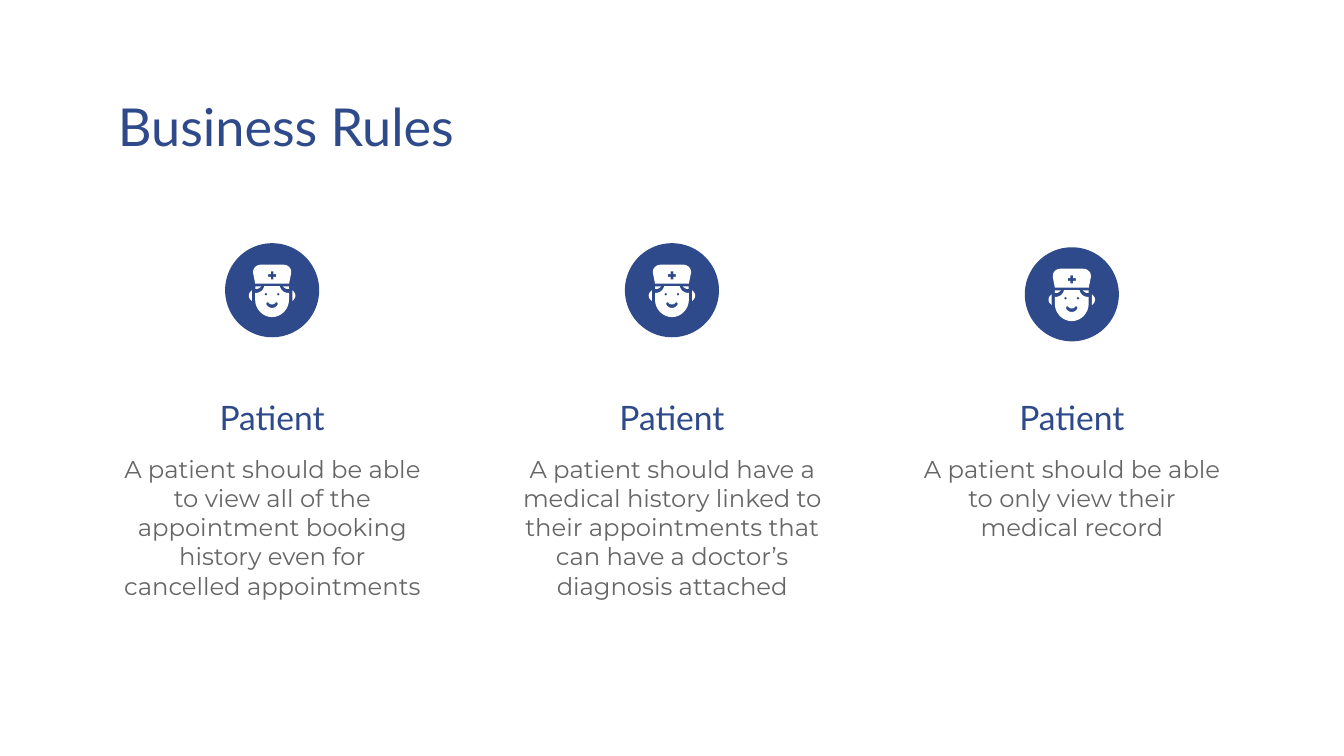
from dataclasses import dataclass
from math import cos, pi, sin

from pptx import Presentation
from pptx.dml.color import RGBColor
from pptx.enum import shapes, text
from pptx.util import Inches, Pt


@dataclass(frozen=True)
class Theme:
    navy: RGBColor = RGBColor(0x2F, 0x4A, 0x8A)
    grey: RGBColor = RGBColor(0x66, 0x66, 0x66)
    white: RGBColor = RGBColor(0xFF, 0xFF, 0xFF)
    heading_font: str = "Lato"
    body_font: str = "Montserrat"
    title_size: int = 28
    heading_size: int = 18
    body_size: int = 13


@dataclass(frozen=True)
class Rule:
    role: str
    statement: str
    icon_top: float = 1.81


THEME = Theme()
MARGIN, CONTENT_W = 0.78, 8.44
COLUMN_W, ICON_SIZE = 2.49, 0.7
CURVE_STEPS = 8

RULES = [
    Rule("Patient", "A patient should be able to view all of the appointment "
                    "booking history even for cancelled appointments"),
    Rule("Patient", "A patient should have a medical history linked to their "
                    "appointments that can have a doctor’s diagnosis attached"),
    Rule("Patient", "A patient should be able to only view their medical record", 1.84),
]

Point = tuple[float, float]
Contour = list[Point]


def trace(*steps: tuple[float, ...]) -> Contour:
    """Flatten points (x, y) and cubic curves (x1, y1, x2, y2, x, y)."""
    points: Contour = []
    for step in steps:
        if len(step) == 2:
            points.append(step)
            continue
        controls = [points[-1], step[:2], step[2:4], step[4:]]
        for i in range(1, CURVE_STEPS + 1):
            t = i / CURVE_STEPS
            weights = ((1 - t) ** 3, 3 * t * (1 - t) ** 2, 3 * t * t * (1 - t), t ** 3)
            points.append(tuple(sum(w * c[axis] for w, c in zip(weights, controls))
                                for axis in (0, 1)))
    return points


def mirror(contour: Contour) -> Contour:
    return [(-x, y) for x, y in contour]


def dot(x: float, y: float, radius: float) -> Contour:
    return [(x + radius * cos(i * pi / 8), y + radius * sin(i * pi / 8))
            for i in range(16)]


# Nurse icon: hundredths of an inch from the centre of the disc.
LOCK = trace((8, -3), (9, -2, 10, -1, 11.5, -1), (12.5, -1), (12.5, -3))
EAR = trace((15, 0), (15, 8), (16, 7, 17.3, 6, 17.3, 4), (17.3, 2, 16, 1, 15, 0))
CAP = trace((-8.6, -19), (-12, -19, -14.5, -16, -14.2, -13), (-12.6, -5),
            (12.6, -5), (14.2, -13), (14.5, -16, 12, -19, 8.6, -19))
CROSS = [(-1, -14), (1, -14), (1, -12), (3, -12), (3, -10), (1, -10),
         (1, -8), (-1, -8), (-1, -10), (-3, -10), (-3, -12), (-1, -12)]
HEAD = trace((-5.8, -3), (-6.5, 0, -9, 2, -12, 2), (-12.6, 2), (-12.6, 7),
             (-12.6, 14, -7, 20, 0, 20), (7, 20, 12.6, 14, 12.6, 7),
             (12.6, 2), (12, 2), (9, 2, 6.5, 0, 5.8, -3))
MOUTH = trace((3.3, 9), (4, 9, 4.6, 10, 4, 11), (3, 12.5, 1.5, 13.2, 0, 13.2),
              (-1.5, 13.2, -3, 12.5, -4, 11), (-4.6, 10, -4, 9, -3.3, 9),
              (-2.8, 9, -2.6, 9.2, -2.4, 9.5), (-1.8, 10.2, -1, 10.6, 0, 10.6),
              (1, 10.6, 1.8, 10.2, 2.4, 9.5), (2.6, 9.2, 2.8, 9, 3.3, 9))
NURSE = [[LOCK], [CAP, CROSS], [mirror(LOCK)],
         [HEAD, dot(-4.6, 3, 0.9), dot(4.6, 3, 0.9), MOUTH], [mirror(EAR)], [EAR]]


def paint(sp, color: RGBColor) -> None:
    sp.fill.solid()
    sp.fill.fore_color.rgb = color
    sp.line.fill.background()
    sp.shadow.inherit = False


def add_text(slide, content: str, left: float, top: float, width: float, height: float,
             font: str, size: int, color: RGBColor,
             align=text.PP_ALIGN.CENTER, space_after: int = 0) -> None:
    tf = slide.shapes.add_textbox(Inches(left), Inches(top),
                                  Inches(width), Inches(height)).text_frame
    tf.word_wrap = True
    tf.margin_left = tf.margin_right = tf.margin_top = tf.margin_bottom = Inches(0.1)
    p = tf.paragraphs[0]
    p.text = content
    p.alignment = align
    p.space_after = Pt(space_after)
    p.font.name, p.font.size, p.font.color.rgb = font, Pt(size), color


def add_nurse_icon(slide, center_x: float, top: float) -> None:
    center_y = top + ICON_SIZE / 2
    disc = slide.shapes.add_shape(
        shapes.MSO_SHAPE.OVAL, Inches(center_x - ICON_SIZE / 2), Inches(top),
        Inches(ICON_SIZE), Inches(ICON_SIZE))
    paint(disc, THEME.navy)
    group = slide.shapes.add_group_shape()
    for outline in NURSE:
        placed = [[(Inches(center_x + x / 100), Inches(center_y + y / 100))
                   for x, y in contour] for contour in outline]
        builder = group.shapes.build_freeform(*placed[0][0])
        builder.add_line_segments(placed[0][1:])
        for hole in placed[1:]:
            builder.move_to(*hole[0])
            builder.add_line_segments(hole[1:])
        paint(builder.convert_to_shape(), THEME.white)


def add_rule(slide, rule: Rule, left: float) -> None:
    add_text(slide, rule.role, left, 2.85, COLUMN_W, 0.51,
             THEME.heading_font, THEME.heading_size, THEME.navy)
    add_text(slide, rule.statement, left, 3.28, COLUMN_W, 0.84,
             THEME.body_font, THEME.body_size, THEME.grey, space_after=12)
    add_nurse_icon(slide, left + COLUMN_W / 2, rule.icon_top)


def main() -> None:
    prs = Presentation()
    prs.slide_width = Inches(10)
    prs.slide_height = prs.slide_width * 9 // 16
    slide = prs.slides.add_slide(prs.slide_layouts[6])
    add_text(slide, "Business Rules", MARGIN, 0.6, CONTENT_W, 0.51,
             THEME.heading_font, THEME.title_size, THEME.navy,
             align=text.PP_ALIGN.LEFT)
    pitch = (CONTENT_W - COLUMN_W) / (len(RULES) - 1)
    for i, rule in enumerate(RULES):
        add_rule(slide, rule, MARGIN + i * pitch)
    prs.save("out.pptx")


if __name__ == "__main__":
    main()
